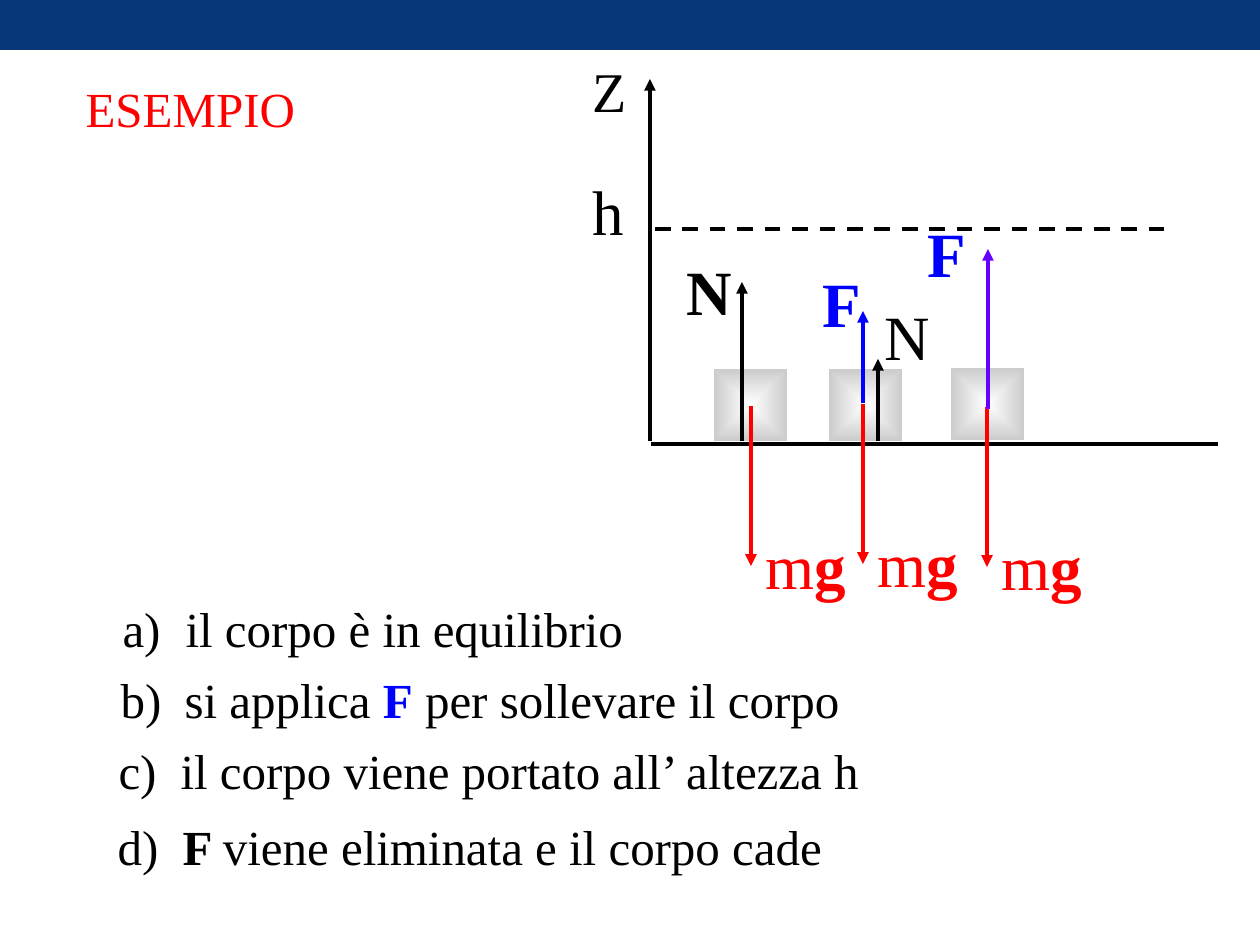
from lxml import etree
from pptx import Presentation
from pptx.dml.color import RGBColor
from pptx.enum import dml, shapes, text
from pptx.oxml.ns import qn
from pptx.util import Pt

PX = 914400 // 126  # EMU in one px
FONT = "Times New Roman"
COLORS = {
    "bar": "073779", "black": "000000", "red": "FF0000", "blue": "0000FF",
    "violet": "6600FF", "light": "FFFFFF", "grey": "CCCCCC",
}


def emu(*lengths):
    return [length * PX for length in lengths]


def color(name):
    return RGBColor.from_string(COLORS[name])


def write(paragraph, parts, size):
    """Fill a paragraph with (wording, colour, bold) parts."""
    for wording, ink, bold in parts:
        run = paragraph.add_run()
        run.text = wording
        run.font.name, run.font.size = FONT, Pt(size)
        run.font.bold, run.font.color.rgb = bold, color(ink)


def place(placeholder, box):
    placeholder.left, placeholder.top, placeholder.width, placeholder.height = emu(*box)
    frame = placeholder.text_frame
    frame.word_wrap = True
    frame.auto_size = text.MSO_AUTO_SIZE.NONE
    frame.vertical_anchor = text.MSO_ANCHOR.TOP
    return frame


def add_label(slide, box, parts, size=36):
    label = slide.shapes.add_textbox(*emu(*box))
    label.text_frame.word_wrap = True
    write(label.text_frame.paragraphs[0], parts, size)


def add_line(slide, start, end, ink="black", arrow=False, dashed=False):
    line = slide.shapes.add_connector(
        shapes.MSO_CONNECTOR.STRAIGHT, *emu(*start, *end))
    line.line.width = Pt(2.25)
    line.line.color.rgb = color(ink)
    if dashed:
        line.line.dash_style = dml.MSO_LINE.DASH
    if arrow:
        etree.SubElement(line.line._get_or_add_ln(), qn("a:tailEnd"), type="triangle")
    etree.SubElement(line._element.spPr, qn("a:effectLst"))


def add_rect(slide, box):
    rect = slide.shapes.add_shape(shapes.MSO_SHAPE.RECTANGLE, *emu(*box))
    rect.shadow.inherit = False
    rect.line.fill.background()
    return rect


def add_block(slide, box):
    """Square that shades from a light centre to grey edges."""
    block = add_rect(slide, box)
    block.fill.gradient()
    for stop, ink, position in zip(block.fill.gradient_stops, ("light", "grey"), (0, 1)):
        stop.color.rgb, stop.position = color(ink), position
    gradient = block._element.spPr.find(qn("a:gradFill"))
    gradient.remove(gradient.find(qn("a:lin")))
    shade = etree.SubElement(gradient, qn("a:path"), path="shape")
    etree.SubElement(shade, qn("a:fillToRect"), l="50000", t="50000", r="50000", b="50000")


def add_header(slide, box):
    bar = add_rect(slide, box)
    bar.fill.solid()
    bar.fill.fore_color.rgb = color("bar")


def add_heading(slide, box):
    heading = place(slide.shapes.title, box).paragraphs[0]
    heading.alignment = text.PP_ALIGN.LEFT
    write(heading, [("ESEMPIO", "red", False)], 28)


def add_steps(slide, box):
    # label indent, text indent, space before, parts
    steps = [
        (19, 82, 0, [("a)\til corpo è in equilibrio", "black", False)]),
        (17, 81, 7, [("b)\tsi applica ", "black", False), ("F", "blue", True),
                     (" per sollevare il corpo", "black", False)]),
        (15, 77, 7, [("c)\til corpo viene portato all’ altezza h", "black", False)]),
        (14, 79, 10, [("d)\t", "black", False), ("F ", "black", True),
                      ("viene eliminata e il corpo cade", "black", False)]),
    ]
    frame = place(slide.placeholders[1], box)
    for index, (label_indent, text_indent, gap, parts) in enumerate(steps):
        step = frame.add_paragraph() if index else frame.paragraphs[0]
        properties = step._p.get_or_add_pPr()
        properties.set("marL", str(text_indent * PX))
        properties.set("indent", str((label_indent - text_indent) * PX))
        etree.SubElement(properties, qn("a:buNone"))
        step.space_before = Pt(gap)
        write(step, parts, 28)


def add_diagram(slide, box):
    left, top, width, height = box

    def at(x, y):
        return left + x, top + y

    # Axes and height level
    add_line(slide, at(71, 394), at(width, 394))
    add_line(slide, at(70, 391), at(70, 29), arrow=True)
    add_line(slide, at(75, 179), at(587, 179), dashed=True)
    add_label(slide, (*at(0, 0), 88, 88), [("Z", "black", False)], 32)
    add_label(slide, (*at(0, 116), 86, 83), [("h", "black", False)])

    # Bodies with their weights
    bodies = [((134, 319), (171, 356)), ((249, 319), (283, 354)), ((371, 318), (407, 357))]
    for corner, (x, y) in bodies:
        add_block(slide, (*at(*corner), 73, 72))
        add_line(slide, at(x, y), at(x, y + 160), "red", arrow=True)
        add_label(slide, (*at(x + 2, y + 114), 111, 94),
                  [("m", "red", False), ("g", "red", True)])

    # Upward forces: name, label colour, bold, arrow colour, x, foot, tip, label corner
    forces = [
        ("N", "black", True, "black", 162, 391, 232, (94, 196)),
        ("F", "blue", True, "blue", 283, 353, 261, (230, 208)),
        ("N", "black", False, "black", 298, 391, 309, (292, 241)),
        ("F", "blue", True, "violet", 408, 359, 199, (335, 158)),
    ]
    for name, ink, bold, arrow_ink, x, foot, tip, corner in forces:
        add_line(slide, at(x, foot), at(x, tip), arrow_ink, arrow=True)
        add_label(slide, (*at(*corner), 84, 82), [(name, ink, bold)])


def main():
    deck = Presentation()
    deck.slide_width, deck.slide_height = emu(1260, 945)
    slide = deck.slides.add_slide(deck.slide_layouts[1])
    add_header(slide, (0, 0, 1260, 50))
    add_heading(slide, (73, 72, 694, 72))
    add_steps(slide, (91, 592, 1050, 282))
    add_diagram(slide, (580, 50, 638, 562))
    deck.save("out.pptx")


if __name__ == "__main__":
    main()
